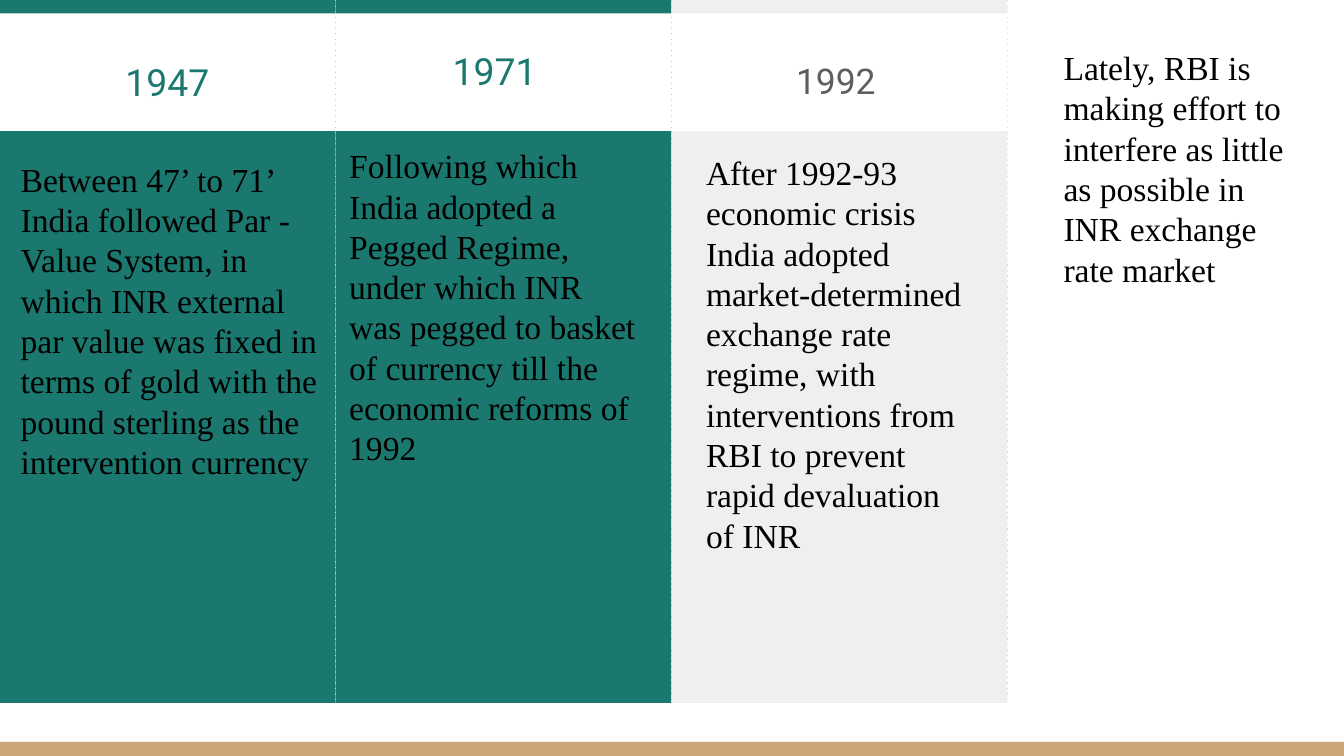
from dataclasses import dataclass

from pptx import Presentation
from pptx.dml.color import RGBColor
from pptx.enum.dml import MSO_LINE_DASH_STYLE as Dash
from pptx.enum.shapes import MSO_CONNECTOR as Conn, MSO_SHAPE as Shape
from pptx.enum.text import PP_ALIGN as Align
from pptx.oxml.ns import qn
from pptx.oxml.xmlchemy import OxmlElement
from pptx.util import Pt

PX = 4572
WIDTH, HEIGHT = 2000, 1125


@dataclass(frozen=True)
class Theme:
    teal: str = "1B786E"
    mint: str = "83E3D9"
    pale: str = "EFEFEF"
    rule: str = "D9D9D9"
    grey: str = "5E5E5E"
    tan: str = "CCA677"
    black: str = "000000"
    year_font: str = "Roboto"
    body_font: str = "Times New Roman"
    year_size: int = 20
    late_year_size: int = 19
    body_size: int = 18


THEME = Theme()


def emu(*lengths):
    return [n * PX for n in lengths]


def add_bar(slide, box, color):
    s = slide.shapes.add_shape(Shape.RECTANGLE, *emu(*box))
    s.shadow.inherit = False
    s.fill.solid()
    s.fill.fore_color.rgb = RGBColor.from_string(color)
    s.line.fill.background()


def add_text(slide, box, text, font, size, color, spacing=None, align=None):
    tf = slide.shapes.add_textbox(*emu(*box)).text_frame
    tf.word_wrap = True
    tf.margin_left = tf.margin_right = tf.margin_top = tf.margin_bottom = 20 * PX
    tf.text = text
    p = tf.paragraphs[0]
    p.alignment = align
    p.line_spacing = spacing
    f = p.runs[0].font
    f.name, f.size = font, Pt(size)
    f.color.rgb = RGBColor.from_string(color)


def add_divider(slide, x, top, bottom, color):
    line = slide.shapes.add_connector(Conn.STRAIGHT, *emu(x, top, x, bottom))
    line.line.color.rgb = RGBColor.from_string(color)
    line.line.width = Pt(0.75)
    line.line.dash_style = Dash.ROUND_DOT
    spPr = line._element.spPr
    spPr.find(qn("a:ln")).find(qn("a:prstDash")).set("val", "dot")
    spPr.append(OxmlElement("a:effectLst"))


def add_era(slide, box, year, year_at, year_size, align, fill, ink, rule):
    x, y, w, h = box
    dx, dy = year_at
    add_bar(slide, (x, y + 195, w, h - 195), fill)
    add_bar(slide, (x, y, w, 20), fill)
    add_text(slide, (x + dx, y + dy, 190, 96), year,
             THEME.year_font, year_size, ink, 1.15, align)
    add_divider(slide, x + w, y, y + h - 4, rule)


def add_story(slide, box, text):
    add_text(slide, box, text, THEME.body_font, THEME.body_size, THEME.black)


def add_footer(slide, box):
    add_bar(slide, box, THEME.tan)


def main():
    prs = Presentation()
    prs.slide_width, prs.slide_height = emu(WIDTH, HEIGHT)
    slide = prs.slides.add_slide(prs.slide_layouts[6])
    add_footer(slide, (0, 1104, WIDTH, 21))

    t = THEME
    eras = [
        ("1947", (155, 58), t.year_size, Align.CENTER, t.teal, t.teal, t.mint),
        ("1971", (155, 42), t.year_size, Align.LEFT, t.teal, t.teal, t.mint),
        ("1992", (166, 59), t.late_year_size, Align.LEFT, t.pale, t.grey, t.rule),
    ]
    for i, era in reversed(list(enumerate(eras))):
        add_era(slide, (500 * i - 1, 0, 500, 1046), *era)

    stories = [
        ((11, 216, 490, 452),
         "Between 47’ to 71’ India followed Par - Value System, in which INR "
         "external par value was fixed in terms of gold with the pound sterling "
         "as the intervention currency"),
        ((500, 196, 470, 812),
         "Following which India adopted a Pegged Regime, under which INR was "
         "pegged to basket of currency till the economic reforms of 1992"),
        ((1031, 206, 434, 792),
         "After 1992-93 economic crisis India adopted market-determined exchange "
         "rate regime, with interventions from RBI to prevent rapid devaluation "
         "of INR"),
        ((1563, 50, 382, 970),
         "Lately, RBI is making effort to interfere as little as possible in "
         "INR exchange rate market"),
    ]
    for box, text in stories:
        add_story(slide, box, text)
    prs.save("out.pptx")


if __name__ == "__main__":
    main()
